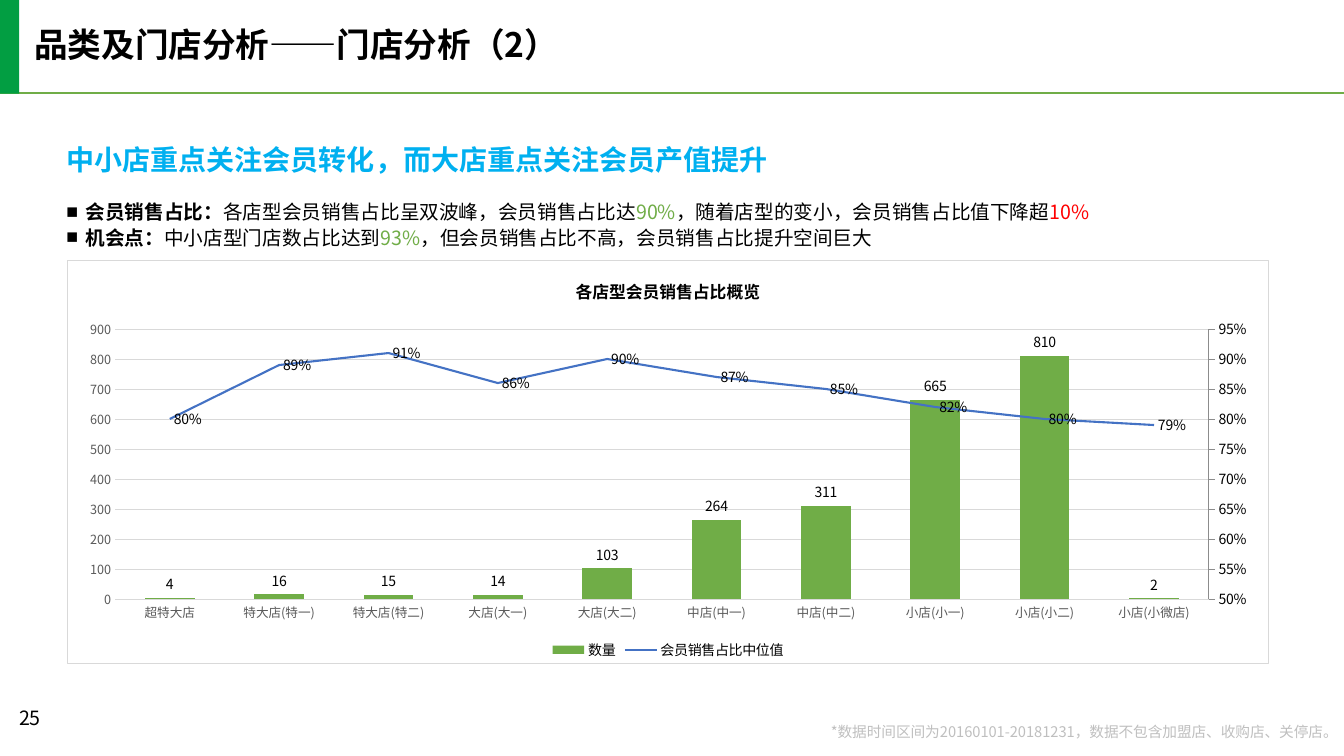
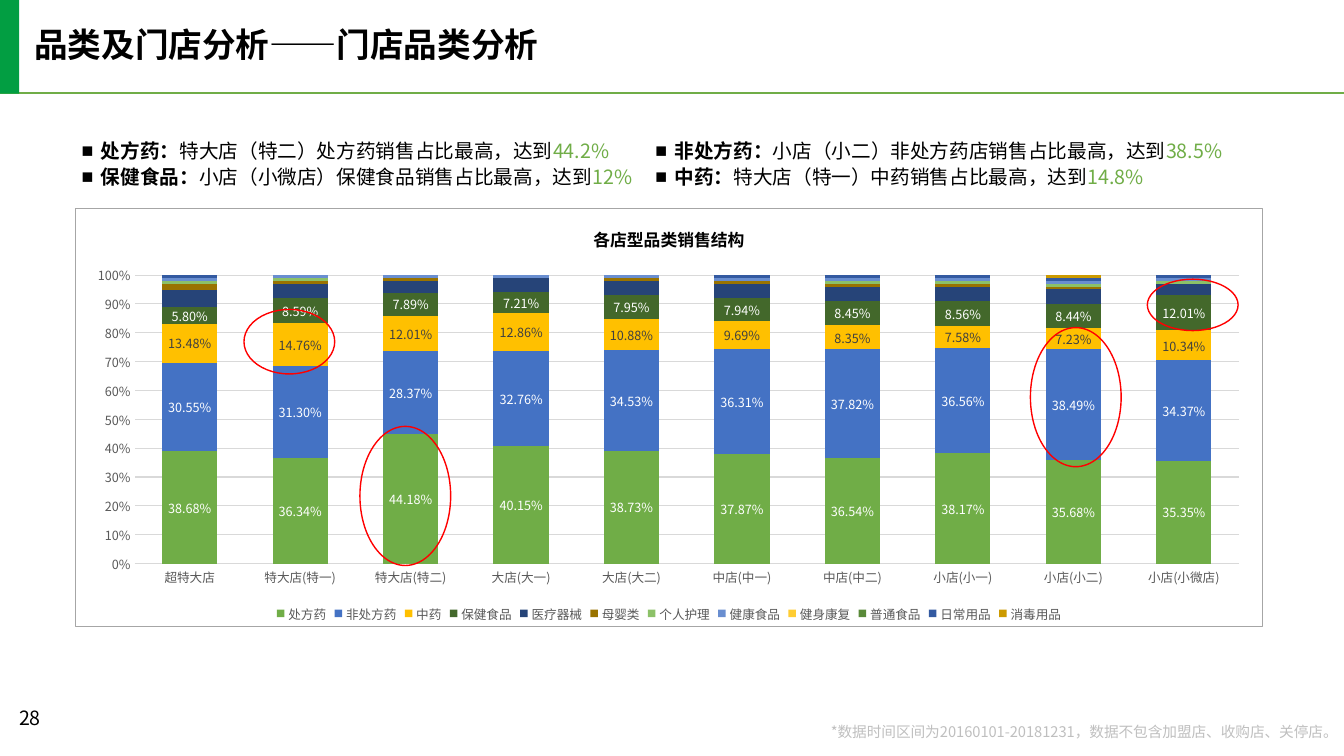
from dataclasses import dataclass

from pptx import Presentation
from pptx.chart.axis import ValueAxis
from pptx.chart.data import CategoryChartData
from pptx.dml.color import RGBColor
from pptx.enum import chart as charts, shapes, text
from pptx.oxml import parse_xml
from pptx.oxml.ns import nsdecls, qn
from pptx.util import Inches, Pt


@dataclass(frozen=True)
class Theme:
    font: str = "Noto Sans CJK SC"
    ink: str = "000000"
    paper: str = "FFFFFF"
    band: str = "029E42"
    green: str = "70AD47"
    blue: str = "4472C4"
    headline: str = "00B0F0"
    red: str = "FF0000"
    axis: str = "595959"
    grid: str = "D9D9D9"
    right_axis: str = "8C8C8C"
    frame: str = "A6A6A6"
    note: str = "BFBFBF"
    dark: str = "404040"
    title_size: float = 24
    headline_size: float = 20
    body_size: float = 14
    chart_title_size: float = 12
    note_size: float = 10.5
    label_size: float = 10
    axis_size: float = 9
    leading: float = 18


THEME = Theme()
SPAN_STYLES = {
    "lead": (THEME.ink, True),
    "plain": (THEME.ink, False),
    "good": (THEME.green, False),
    "bad": (THEME.red, False),
}
STORES = ["超特大店", "特大店(特一)", "特大店(特二)", "大店(大一)", "大店(大二)",
          "中店(中一)", "中店(中二)", "小店(小一)", "小店(小二)", "小店(小微店)"]
STORE_COUNTS = [4, 16, 15, 14, 103, 264, 311, 665, 810, 2]
MEMBER_SHARES = [0.8, 0.89, 0.91, 0.86, 0.9, 0.87, 0.85, 0.82, 0.8, 0.79]
CATEGORIES = [
    ("处方药", THEME.green, THEME.paper,
     [38.68, 36.34, 44.18, 40.15, 38.73, 37.87, 36.54, 38.17, 35.68, 35.35]),
    ("非处方药", THEME.blue, THEME.paper,
     [30.55, 31.3, 28.37, 32.76, 34.53, 36.31, 37.82, 36.56, 38.49, 34.37]),
    ("中药", "FFC000", THEME.dark,
     [13.48, 14.76, 12.01, 12.86, 10.88, 9.69, 8.35, 7.58, 7.23, 10.34]),
    ("保健食品", "43682B", THEME.paper,
     [5.8, 8.59, 7.89, 7.21, 7.95, 7.94, 8.45, 8.56, 8.44, 12.01]),
    ("医疗器械", "264478", None, [6, 5, 4, 5, 5, 5, 5, 5, 5, 4]),
    ("母婴类", "997300", None, [2, 1, 1, 0, 1, 1, 1, 1, 1, 0]),
    ("个人护理", "8CC168", None, [1, 1, 0, 0, 0, 0, 1, 1, 1, 1]),
    ("健康食品", "698ED0", None, [1] * 10),
    ("健身康复", "FFCD33", None, [0] * 10),
    ("普通食品", "5A8A39", None, [0] * 10),
    ("日常用品", "335AA1", None, [1, 0, 0, 0, 0, 1, 1, 1, 1, 1]),
    ("消毒用品", "CC9A00", None, [0, 0, 0, 0, 0, 0, 0, 0, 1, 0]),
]


def color(value):
    return RGBColor.from_string(value)


def style_font(font, size, ink=THEME.ink, bold=False):
    font.name = THEME.font
    font.size = Pt(size)
    font.bold = bold
    font.color.rgb = color(ink)
    latin = font._rPr.find(qn("a:latin"))
    latin.addnext(parse_xml(f'<a:ea {nsdecls("a")} typeface="{THEME.font}"/>'))


def style_line(line, ink, width):
    line.color.rgb = color(ink)
    line.width = Pt(width)


def add_box(page, area, inset=0, anchor=text.MSO_ANCHOR.TOP):
    frame = page.shapes.add_textbox(*map(Inches, area)).text_frame
    frame.word_wrap = True
    frame.vertical_anchor = anchor
    frame.margin_left = frame.margin_right = Inches(inset)
    frame.margin_top = frame.margin_bottom = Inches(inset / 2)
    return frame


def add_label(page, area, words, size, ink=THEME.ink, bold=False, spacing=None,
              align=text.PP_ALIGN.LEFT, **box_options):
    para = add_box(page, area, **box_options).paragraphs[0]
    para.text = words
    para.alignment = align
    para.line_spacing = spacing
    style_font(para.runs[0].font, size, ink, bold)


def add_bullets(page, area, items):
    frame = add_box(page, area, anchor=text.MSO_ANCHOR.MIDDLE)
    for index, spans in enumerate(items):
        para = frame.add_paragraph() if index else frame.paragraphs[0]
        properties = para._p.get_or_add_pPr()
        properties.set("marL", str(Inches(0.19)))
        properties.set("indent", str(-Inches(0.19)))
        properties.append(parse_xml(f'<a:buFont {nsdecls("a")} typeface="Arial"/>'))
        properties.append(parse_xml(f'<a:buChar {nsdecls("a")} char="■"/>'))
        para.line_spacing = Pt(THEME.leading)
        for words, style in spans:
            span = para.add_run()
            span.text = words
            style_font(span.font, THEME.body_size, *SPAN_STYLES[style])


def add_shape(page, kind, area):
    shape = page.shapes.add_shape(kind, *map(Inches, area))
    shape.shadow.inherit = False
    return shape


def add_ring(page, area):
    ring = add_shape(page, shapes.MSO_SHAPE.OVAL, area)
    ring.fill.background()
    style_line(ring.line, THEME.red, 1)


def add_page(deck, title, number):
    page = deck.slides.add_slide(deck.slide_layouts[6])
    rule = page.shapes.add_connector(shapes.MSO_CONNECTOR.STRAIGHT, 0, Inches(0.92),
                                     deck.slide_width, Inches(0.92))
    style_line(rule.line, THEME.green, 1.5)
    rule._element.spPr.append(parse_xml(f'<a:effectLst {nsdecls("a")}/>'))
    add_label(page, (0.34, 0.28, 6.29, 0.36), title, THEME.title_size, bold=True, spacing=0.9)
    band = add_shape(page, shapes.MSO_SHAPE.RECTANGLE, (0, -0.01, 0.19, 0.94))
    band.fill.solid()
    band.fill.fore_color.rgb = color(THEME.band)
    band.line.fill.background()
    add_label(page, (8.08, 7.19, 5.19, 0.16),
              "*数据时间区间为20160101-20181231，数据不包含加盟店、收购店、关停店。",
              THEME.note_size, THEME.note, spacing=0.9, align=text.PP_ALIGN.RIGHT)
    add_label(page, (0.09, 6.95, 0.91, 0.4), str(number), THEME.body_size, inset=0.1)
    return page


def place_plot(chart, area):
    plot_area = chart.element.find(qn("c:chart")).find(qn("c:plotArea"))
    for layout in plot_area.findall(qn("c:layout")):
        plot_area.remove(layout)
    sides = "".join(f'<c:{side} val="{value}"/>' for side, value in zip("xywh", area))
    plot_area.insert(0, parse_xml(
        f'<c:layout {nsdecls("c")}><c:manualLayout><c:layoutTarget val="inner"/>'
        f'<c:xMode val="edge"/><c:yMode val="edge"/>{sides}</c:manualLayout></c:layout>'))


def frame_chart(chart, border):
    chart.element.find(qn("c:chart")).addnext(parse_xml(
        f'<c:spPr {nsdecls("c", "a")}><a:solidFill><a:srgbClr val="{THEME.paper}"/></a:solidFill>'
        f'<a:ln w="{Pt(0.75)}"><a:solidFill><a:srgbClr val="{border}"/></a:solidFill></a:ln></c:spPr>'))


def style_value_axis(axis, low, high, step, number_format):
    axis.minimum_scale, axis.maximum_scale, axis.major_unit = low, high, step
    axis.tick_labels.number_format = number_format
    axis.tick_labels.number_format_is_linked = False


def add_chart(page, kind, area, plot_area, title, series, number_format, border, legend):
    data = CategoryChartData(number_format=number_format)
    data.categories = STORES
    for name, values in series:
        data.add_series(name, values)
    chart = page.shapes.add_chart(kind, *map(Inches, area), data).chart
    style_font(chart.font, THEME.label_size)
    frame_chart(chart, border)
    place_plot(chart, plot_area)
    chart.has_title = True
    chart.chart_title.include_in_layout = False
    para = chart.chart_title.text_frame.paragraphs[0]
    para.text = title
    style_font(para.runs[0].font, THEME.chart_title_size, bold=True)
    chart.has_legend = True
    chart.legend.position = charts.XL_LEGEND_POSITION.BOTTOM
    chart.legend.include_in_layout = False
    style_font(chart.legend.font, *legend)
    for axis in (chart.category_axis, chart.value_axis):
        axis.major_tick_mark = charts.XL_TICK_MARK.NONE
        style_font(axis.tick_labels.font, THEME.axis_size, THEME.axis)
    style_line(chart.category_axis.format.line, THEME.grid, 0.75)
    chart.value_axis.format.line.fill.background()
    style_line(chart.value_axis.major_gridlines.format.line, THEME.grid, 0.75)
    chart.plots[0].vary_by_categories = False
    return chart


def fill_series(series, fill):
    series.format.fill.solid()
    series.format.fill.fore_color.rgb = color(fill)


def label_series(series, position, size, ink, number_format):
    labels = series.data_labels
    labels.show_value = True
    labels.position = position
    labels.number_format = number_format
    labels.number_format_is_linked = False
    style_font(labels.font, size, ink)


def move_last_series_to_line(chart):
    plot_area = chart.element.find(qn("c:chart")).find(qn("c:plotArea"))
    bars = plot_area.find(qn("c:barChart"))
    series = bars.findall(qn("c:ser"))[-1]
    for flag in series.findall(qn("c:invertIfNegative")):
        series.remove(flag)
    lines = parse_xml(
        f'<c:lineChart {nsdecls("c")}><c:grouping val="standard"/><c:varyColors val="0"/>'
        '<c:marker val="1"/><c:axId val="5001"/><c:axId val="5002"/></c:lineChart>')
    lines.insert(2, series)
    bars.addnext(lines)

    def make_axis(tag, own, other, hidden, side, crossing):
        return parse_xml(
            f'<c:{tag} {nsdecls("c")}><c:axId val="{own}"/>'
            '<c:scaling><c:orientation val="minMax"/></c:scaling>'
            f'<c:delete val="{hidden}"/><c:axPos val="{side}"/>'
            '<c:majorTickMark val="out"/><c:minorTickMark val="none"/>'
            f'<c:tickLblPos val="nextTo"/><c:crossAx val="{other}"/>'
            f'<c:crosses val="{crossing}"/></c:{tag}>')

    hidden_axis = make_axis("catAx", 5001, 5002, 1, "b", "autoZero")
    right_axis = make_axis("valAx", 5002, 5001, 0, "r", "max")
    left_axis = plot_area.find(qn("c:valAx"))
    left_axis.addnext(right_axis)
    right_axis.addnext(hidden_axis)
    return ValueAxis(right_axis)


def add_member_chart(page):
    chart = add_chart(page, charts.XL_CHART_TYPE.COLUMN_CLUSTERED, (0.66, 2.58, 11.93, 4.01),
                      (0.04, 0.17, 0.91, 0.67), "各店型会员销售占比概览",
                      [("数量", STORE_COUNTS), ("会员销售占比中位值", MEMBER_SHARES)],
                      "General", THEME.grid, (THEME.label_size, THEME.ink))
    style_value_axis(chart.value_axis, 0, 900, 100, "General")
    right_axis = move_last_series_to_line(chart)
    style_value_axis(right_axis, 0.5, 0.95, 0.05, "0%")
    style_font(right_axis.tick_labels.font, THEME.label_size)
    style_line(right_axis.format.line, THEME.right_axis, 0.5)
    bars, lines = chart.plots
    bars.gap_width = 120
    counts, shares = bars.series[0], lines.series[0]
    fill_series(counts, THEME.green)
    style_line(shares.format.line, THEME.blue, 1.5)
    shares.marker.style = charts.XL_MARKER_STYLE.NONE
    shares.smooth = False
    position = charts.XL_LABEL_POSITION
    label_series(counts, position.OUTSIDE_END, THEME.label_size, THEME.ink, "General")
    label_series(shares, position.RIGHT, THEME.label_size, THEME.ink, "0%")


def add_category_chart(page):
    series = [(name, [round(value / 100, 4) for value in values])
              for name, _, _, values in CATEGORIES]
    chart = add_chart(page, charts.XL_CHART_TYPE.COLUMN_STACKED_100, (0.74, 2.06, 11.79, 4.16),
                      (0.05, 0.16, 0.93, 0.69), "各店型品类销售结构", series,
                      "0.00%", THEME.frame, (THEME.axis_size, THEME.axis))
    style_value_axis(chart.value_axis, 0, 1, 0.1, "0%")
    plot = chart.plots[0]
    plot.gap_width, plot.overlap = 100, 100
    for bars, (_, fill, label_ink, _) in zip(plot.series, CATEGORIES):
        fill_series(bars, fill)
        if label_ink:
            label_series(bars, charts.XL_LABEL_POSITION.CENTER, THEME.axis_size,
                         label_ink, "0.00%")


def add_member_page(deck):
    page = add_page(deck, "品类及门店分析——门店分析（2）", 25)
    add_member_chart(page)
    add_bullets(page, (0.66, 1.97, 11.6, 0.5), [
        [("会员销售占比：", "lead"), ("各店型会员销售占比呈双波峰，会员销售占比达", "plain"),
         ("90%", "good"), ("，随着店型的变小，会员销售占比值下降超", "plain"), ("10%", "bad")],
        [("机会点：", "lead"), ("中小店型门店数占比达到", "plain"), ("93%", "good"),
         ("，但会员销售占比不高，会员销售占比提升空间巨大", "plain")]])
    add_label(page, (0.66, 1.49, 12.06, 0.26),
              "中小店重点关注会员转化，而大店重点关注会员产值提升", THEME.headline_size,
              THEME.headline, True, Pt(THEME.leading), anchor=text.MSO_ANCHOR.MIDDLE)


def add_category_page(deck):
    page = add_page(deck, "品类及门店分析——门店品类分析", 28)
    add_category_chart(page)
    columns = [
        (0.81, 5.68, [("处方药：", "特大店（特二）处方药销售占比最高，达到", "44.2%"),
                      ("保健食品：", "小店（小微店）保健食品销售占比最高，达到", "12%")]),
        (6.5, 5.84, [("非处方药：", "小店（小二）非处方药店销售占比最高，达到", "38.5%"),
                     ("中药：", "特大店（特一）中药销售占比最高，达到", "14.8%")])]
    for left, width, findings in columns:
        add_bullets(page, (left, 1.37, width, 0.49),
                    [list(zip(finding, ("lead", "plain", "good"))) for finding in findings])
    for left, top, height in [(3.57, 4.23, 1.38), (10.22, 3.25, 1.38),
                              (11.38, 2.77, 0.51), (2.42, 3.07, 0.64)]:
        add_ring(page, (left, top, 0.9, height))


def main():
    deck = Presentation()
    deck.slide_width, deck.slide_height = Inches(13.33), Inches(7.5)
    add_member_page(deck)
    add_category_page(deck)
    deck.save("out.pptx")


if __name__ == "__main__":
    main()
